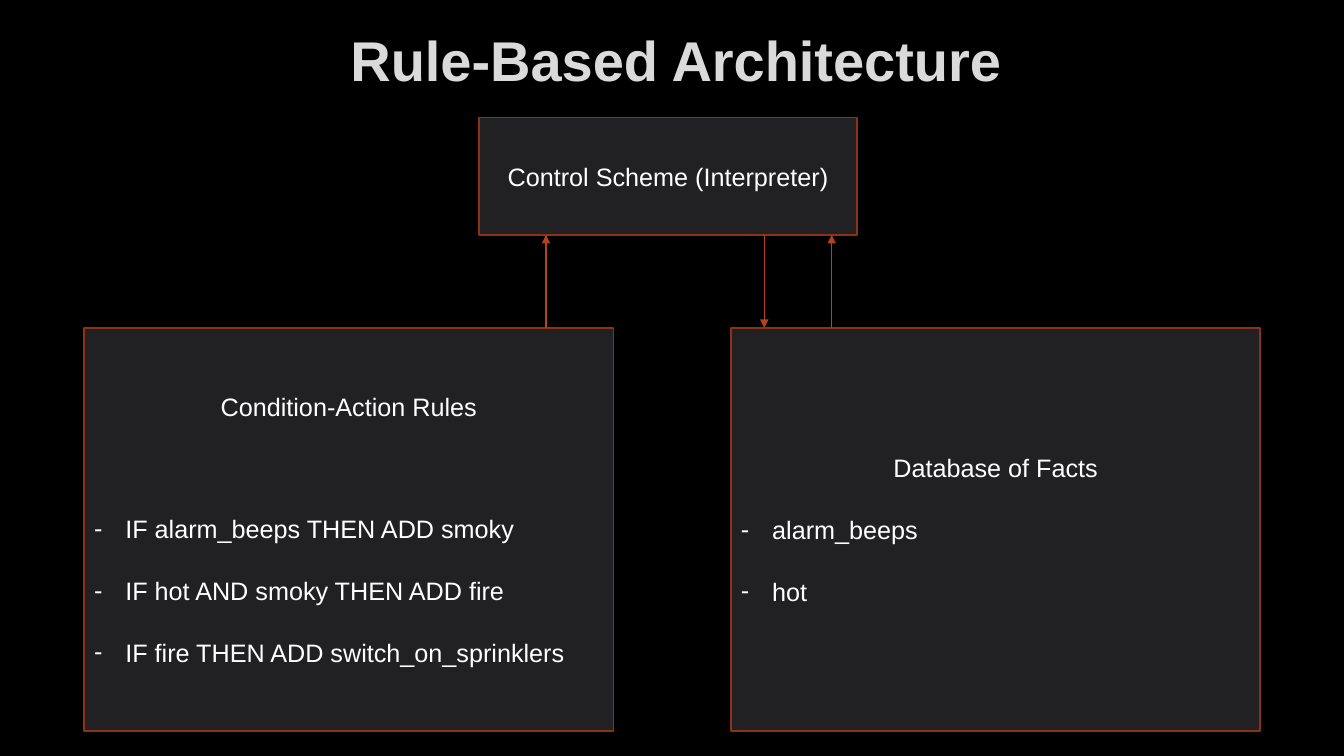
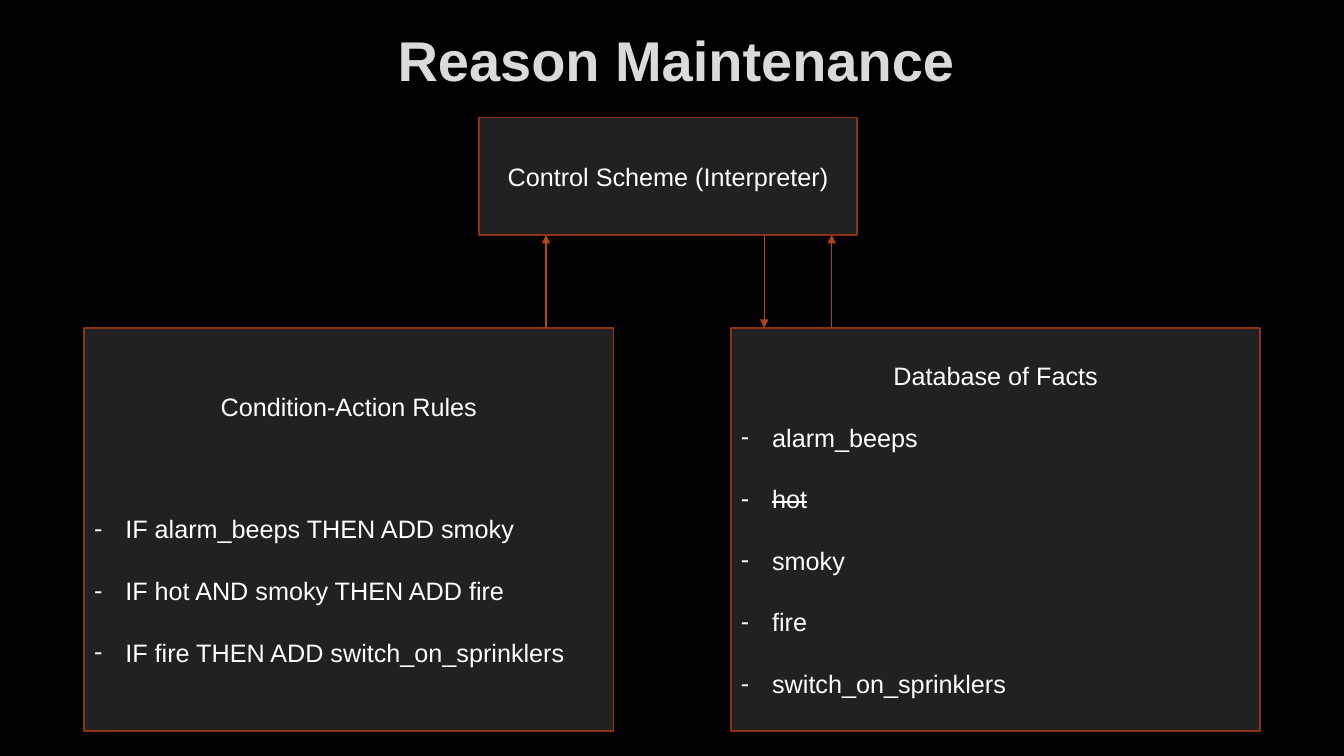
from dataclasses import dataclass

from lxml import etree
from pptx import Presentation
from pptx.dml.color import RGBColor
from pptx.enum.shapes import MSO_CONNECTOR, MSO_SHAPE
from pptx.enum.text import MSO_ANCHOR, MSO_AUTO_SIZE, PP_ALIGN
from pptx.oxml.ns import qn
from pptx.util import Cm, Pt

RECTANGLE = MSO_SHAPE.RECTANGLE
STRAIGHT = MSO_CONNECTOR.STRAIGHT
CENTER, LEFT = PP_ALIGN.CENTER, PP_ALIGN.LEFT
TOP, MIDDLE = MSO_ANCHOR.TOP, MSO_ANCHOR.MIDDLE
NO_AUTOFIT = MSO_AUTO_SIZE.NONE
TITLE_ONLY = 5


@dataclass(frozen=True)
class Theme:
    font: str = "Arial"
    background: str = "000000"
    title: str = "DADADA"
    title_outline: str = "404040"
    text: str = "FFFFFF"
    box_fill: str = "212123"
    box_line: str = "8B3314"
    arrow: str = "B4421A"
    title_size: float = 40
    text_size: float = 18
    box_width: float = 1.25
    arrow_width: float = 0.75
    item_gap: float = 22.4


def color(value):
    return RGBColor.from_string(value)


def apply(target, formats):
    for name, value in formats.items():
        setattr(target, name, value)


def add_xml(parent, tag, **attributes):
    child = etree.SubElement(parent, qn(tag))
    for name, value in attributes.items():
        child.set(name, value)
    return child


class DeckBuilder:
    """Holds the style and the page being drawn."""

    def __init__(self, theme):
        self.theme = theme
        self.deck = Presentation()
        apply(self.deck, {"slide_width": Cm(33.87), "slide_height": Cm(19.05)})
        fill = self.deck.slide_master.background.fill
        fill.solid()
        fill.fore_color.rgb = color(theme.background)
        self.page = None

    def new_page(self, title):
        self.page = self.deck.slides.add_slide(self.deck.slide_layouts[TITLE_ONLY])
        self.title(title)

    def add_text(self, para, text, size, ink, bold=False):
        span = para.add_run()
        span.text = text
        apply(span.font, {"name": self.theme.font, "size": Pt(size), "bold": bold})
        span.font.color.rgb = color(ink)
        return span

    def title(self, text):
        theme = self.theme
        box = self.page.shapes.title
        apply(box, {"left": Cm(1.69), "top": Cm(0.85),
                    "width": Cm(30.58), "height": Cm(2.84)})
        frame = box.text_frame
        apply(frame, {"auto_size": NO_AUTOFIT, "vertical_anchor": TOP,
                      "word_wrap": True, "margin_left": Cm(0.35),
                      "margin_right": Cm(0.25)})
        para = frame.paragraphs[0]
        apply(para, {"alignment": CENTER, "line_spacing": 0.8,
                     "space_before": Pt(8), "space_after": Pt(6)})
        span = self.add_text(para, text, theme.title_size, theme.title, bold=True)
        # Faint outline around the letters
        properties = span._r.get_or_add_rPr()
        outline = add_xml(properties, "a:ln", w=str(Pt(0.75)))
        ink = add_xml(add_xml(outline, "a:solidFill"), "a:srgbClr",
                      val=theme.title_outline)
        add_xml(ink, "a:alpha", val="10000")
        properties.insert(0, outline)

    def box(self, left, top, width, height, heading, items=(), struck=(), lead=1):
        """Draw a box; lead is the gap under the heading, in item gaps."""
        theme = self.theme
        box = self.page.shapes.add_shape(
            RECTANGLE, Cm(left), Cm(top), Cm(width), Cm(height))
        box.shadow.inherit = False
        box.fill.solid()
        box.fill.fore_color.rgb = color(theme.box_fill)
        box.line.color.rgb = color(theme.box_line)
        box.line.width = Pt(theme.box_width)
        frame = box.text_frame
        apply(frame, {"word_wrap": True, "vertical_anchor": MIDDLE})
        para = frame.paragraphs[0]
        para.alignment = CENTER
        self.add_text(para, heading, theme.text_size, theme.text)
        for index, item in enumerate(items):
            gap = theme.item_gap * (1 if index else lead)
            self.item(frame.add_paragraph(), item, gap, item in struck)

    def item(self, para, text, gap, struck):
        theme = self.theme
        apply(para, {"alignment": LEFT, "space_before": Pt(gap)})
        span = self.add_text(para, text, theme.text_size, theme.text)
        if struck:
            span._r.get_or_add_rPr().set("strike", "sngStrike")
        # Hanging dash
        properties = para._p.get_or_add_pPr()
        indent = Cm(0.79)
        properties.set("marL", str(indent))
        properties.set("indent", str(-indent))
        add_xml(properties, "a:buFont", typeface=theme.font)
        add_xml(properties, "a:buChar", char="-")

    def arrow(self, x, start, end):
        line = self.page.shapes.add_connector(
            STRAIGHT, Cm(x), Cm(start), Cm(x), Cm(end))
        line.line.color.rgb = color(self.theme.arrow)
        line.line.width = Pt(self.theme.arrow_width)
        properties = line._element.spPr
        add_xml(properties.get_or_add_ln(), "a:tailEnd", type="triangle")
        add_xml(properties, "a:effectLst")


# Content
RULES = ("IF alarm_beeps THEN ADD smoky",
         "IF hot AND smoky THEN ADD fire",
         "IF fire THEN ADD switch_on_sprinklers")
PAGES = (
    ("Rule-Based Architecture", ("alarm_beeps", "hot"), ()),
    ("Reason Maintenance",
     ("alarm_beeps", "hot", "smoky", "fire", "switch_on_sprinklers"), ("hot",)),
)

# Diagram layout in centimetres
CONTROL_TOP, CONTROL_HEIGHT = 2.96, 2.96
CONTROL_BOTTOM = CONTROL_TOP + CONTROL_HEIGHT
STORE_TOP, STORE_WIDTH, STORE_HEIGHT = 8.26, 13.34, 10.16


def draw_architecture(builder, facts, struck):
    # Interpreter above the two stores
    builder.box(12.07, CONTROL_TOP, 9.53, CONTROL_HEIGHT,
                "Control Scheme (Interpreter)")
    builder.box(2.12, STORE_TOP, STORE_WIDTH, STORE_HEIGHT,
                "Condition-Action Rules", RULES, lead=2.93)
    builder.box(18.42, STORE_TOP, STORE_WIDTH, STORE_HEIGHT,
                "Database of Facts", facts, struck)
    # Rules feed the interpreter; facts flow both ways
    for x, upward in ((13.76, True), (19.26, False), (20.96, True)):
        ends = (STORE_TOP, CONTROL_BOTTOM) if upward else (CONTROL_BOTTOM, STORE_TOP)
        builder.arrow(x, *ends)


def main():
    builder = DeckBuilder(Theme())
    for title, facts, struck in PAGES:
        builder.new_page(title)
        draw_architecture(builder, facts, struck)
    builder.deck.save("out.pptx")


if __name__ == "__main__":
    main()
